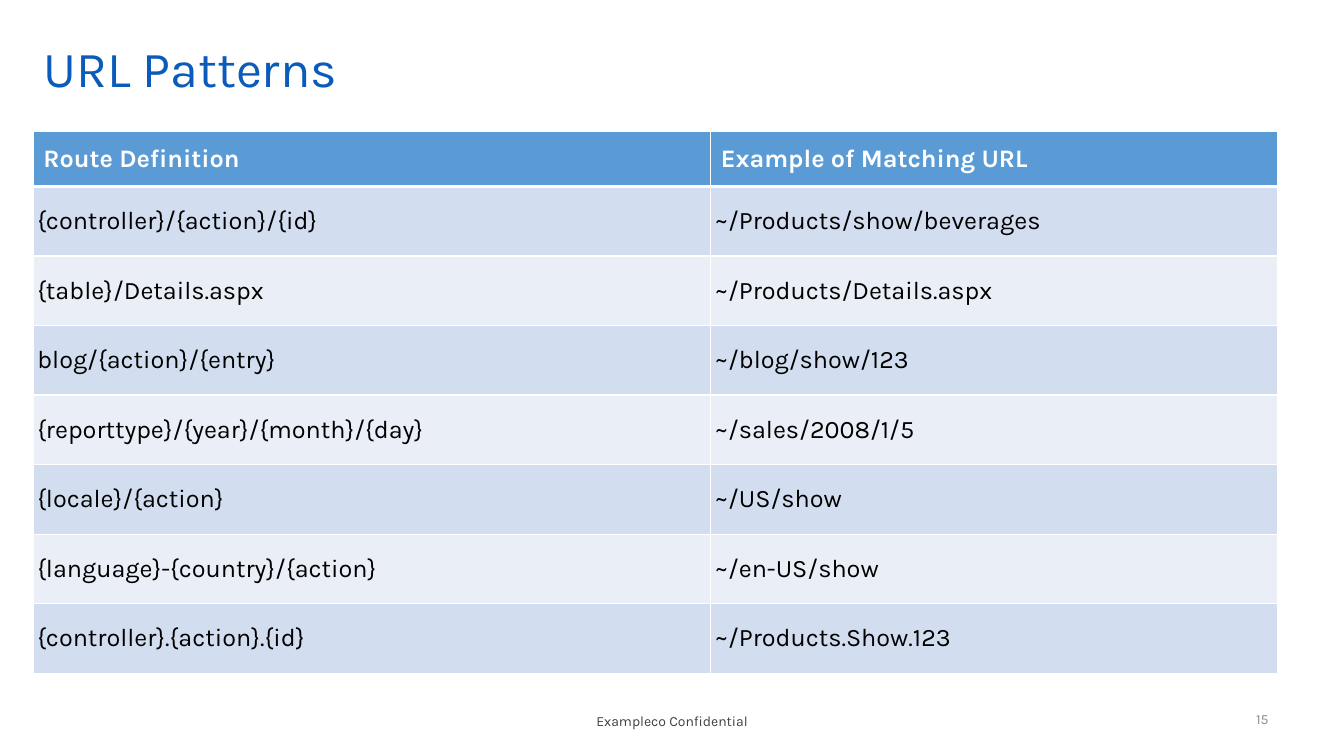
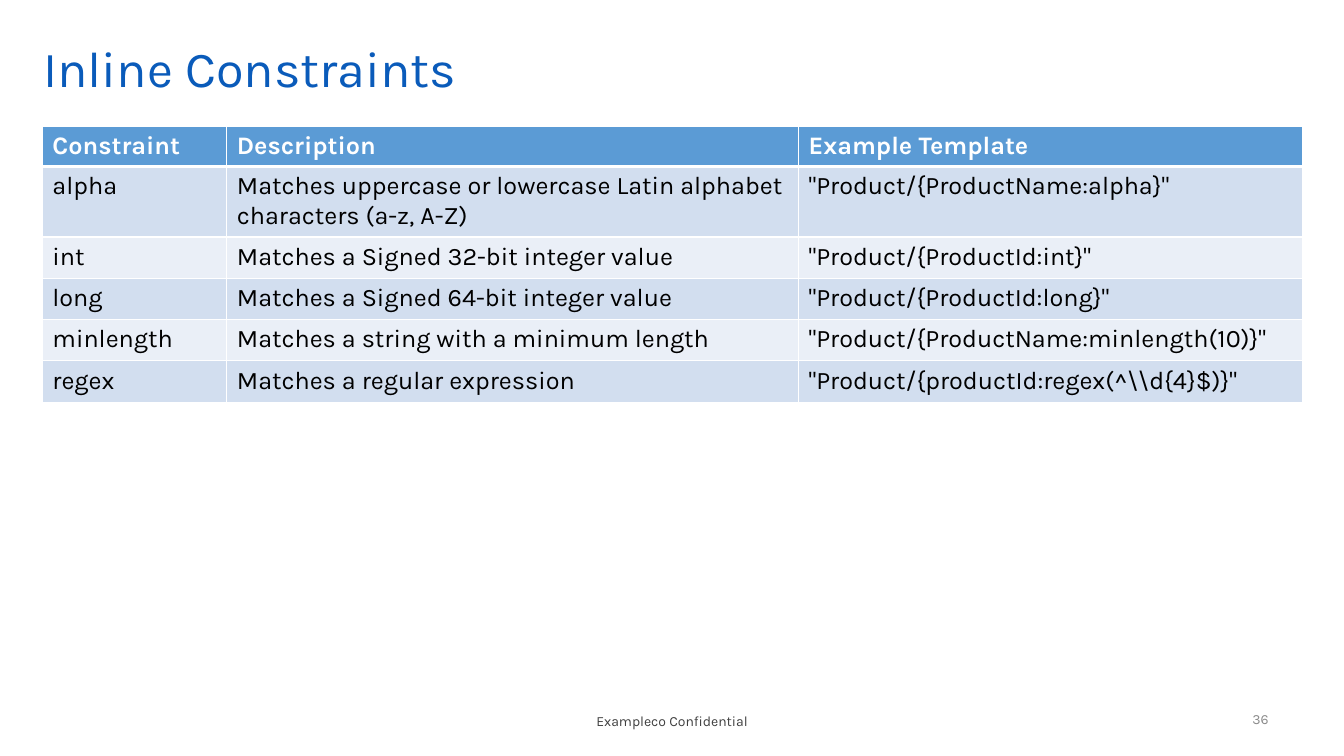
from dataclasses import dataclass

from lxml import etree
from pptx import Presentation
from pptx.dml.color import RGBColor
from pptx.enum import text
from pptx.oxml import ns
from pptx.util import Inches, Pt


# Colours, font and type sizes
@dataclass(frozen=True)
class Theme:
    font: str = "Karla"
    title: str = "0A5BBA"
    footer: str = "3F3F3F"
    number: str = "8C8C8C"
    header: str = "5B9BD5"
    bands: tuple = ("D2DEEF", "EAEFF7")
    white: str = "FFFFFF"
    body: str = "000000"
    title_size: int = 36
    table_size: int = 18
    small_size: int = 10
    rule: int = 1
    header_rule: int = 3


class Deck:
    def __init__(self, theme):
        self.theme = theme
        self.prs = Presentation()
        self.prs.slide_width, self.prs.slide_height = Inches(13.33), Inches(7.5)
        self.s = None

    def format_text(self, tf, size, color, align=text.PP_ALIGN.LEFT, bold=False):
        for p in tf.paragraphs:
            p.alignment = align
            for r in p.runs:
                r.font.name, r.font.size, r.font.bold = self.theme.font, Pt(size), bold
                r.font.color.rgb = RGBColor.from_string(color)

    def add_slide(self, title, number):
        self.s = self.prs.slides.add_slide(self.prs.slide_layouts[5])
        self.add_small_text("Exampleco Confidential", (5.11, 6.95, 3.11, 0.4),
                            self.theme.footer, text.PP_ALIGN.CENTER, 0.2)
        self.add_title(title)
        self.add_small_text(str(number), (9.68, 6.93, 3, 0.4),
                            self.theme.number, text.PP_ALIGN.RIGHT)

    def add_title(self, title):
        sp = self.s.shapes.title
        sp.left, sp.top, sp.width, sp.height = map(Inches, (0.33, 0.33, 12.33, 0.75))
        tf = sp.text_frame
        tf.text = title
        tf.auto_size = text.MSO_AUTO_SIZE.NONE
        tf.vertical_anchor = text.MSO_ANCHOR.MIDDLE
        tf.paragraphs[0].line_spacing = 0.9
        self.format_text(tf, self.theme.title_size, self.theme.title)

    def add_small_text(self, words, box, color, align, margin=0.1):
        tf = self.s.shapes.add_textbox(*map(Inches, box)).text_frame
        tf.text = words
        tf.word_wrap = True
        tf.vertical_anchor = text.MSO_ANCHOR.MIDDLE
        tf.margin_left = tf.margin_right = Inches(margin)
        self.format_text(tf, self.theme.small_size, color, align)

    def add_table(self, left, top, widths, heights, rows, anchor, body_margins):
        table = self.s.shapes.add_table(
            len(rows), len(widths), Inches(left), Inches(top),
            Inches(sum(widths)), Inches(sum(heights))).table
        for column, width in zip(table.columns, widths):
            column.width = Inches(width)
        for i, (row, height) in enumerate(zip(rows, heights)):
            table.rows[i].height = Inches(height)
            for j, words in enumerate(row):
                cell = table.cell(i, j)
                cell.text = words
                cell.vertical_anchor = anchor
                self.style_cell(cell, i, body_margins)

    def style_cell(self, cell, row, body_margins):
        t = self.theme
        is_header = row == 0
        self.add_borders(cell, top=t.header_rule if row == 1 else t.rule,
                         bottom=t.header_rule if is_header else t.rule)
        cell.fill.solid()
        cell.fill.fore_color.rgb = RGBColor.from_string(
            t.header if is_header else t.bands[(row - 1) % 2])
        side, edge = (0.1, 0.05) if is_header else body_margins
        cell.margin_left = cell.margin_right = Inches(side)
        cell.margin_top = cell.margin_bottom = Inches(edge)
        self.format_text(cell.text_frame, t.table_size,
                         t.white if is_header else t.body, bold=is_header)

    def add_borders(self, cell, top, bottom):
        # Borders come before the fill in the cell properties
        tc_pr = cell._tc.get_or_add_tcPr()
        rule = self.theme.rule
        for tag, width in (("lnL", rule), ("lnR", rule), ("lnT", top), ("lnB", bottom)):
            line = etree.SubElement(tc_pr, ns.qn("a:" + tag), w=str(Pt(width)))
            fill = etree.SubElement(line, ns.qn("a:solidFill"))
            etree.SubElement(fill, ns.qn("a:srgbClr"), val=self.theme.white)


ROUTES = [
    ("Route Definition", "Example of Matching URL"),
    ("{controller}/{action}/{id}", "~/Products/show/beverages"),
    ("{table}/Details.aspx", "~/Products/Details.aspx"),
    ("blog/{action}/{entry}", "~/blog/show/123"),
    ("{reporttype}/{year}/{month}/{day}", "~/sales/2008/1/5"),
    ("{locale}/{action}", "~/US/show"),
    ("{language}-{country}/{action}", "~/en-US/show"),
    ("{controller}.{action}.{id}", "~/Products.Show.123"),
]

CONSTRAINTS = [
    ("Constraint", "Description", "Example Template"),
    ("alpha", "Matches uppercase or lowercase Latin alphabet characters (a-z, A-Z)",
     '"Product/{ProductName:alpha}"'),
    ("int", "Matches a Signed 32-bit integer value", '"Product/{ProductId:int}"'),
    ("long", "Matches a Signed 64-bit integer value", '"Product/{ProductId:long}"'),
    ("minlength", "Matches a string with a minimum length",
     '"Product/{ProductName:minlength(10)}"'),
    ("regex", "Matches a regular expression",
     r'"Product/{productId:regex(^\\d{4}$)}"'),
]


def main():
    deck = Deck(Theme())

    # URL patterns
    deck.add_slide("URL Patterns", 15)
    deck.add_table(0.33, 1.3, (6.72, 5.62), [0.55] + [0.69] * 7, ROUTES,
                   text.MSO_ANCHOR.MIDDLE, (0.04, 0.09))

    # Inline constraints
    deck.add_slide("Inline Constraints", 36)
    deck.add_table(0.42, 1.25, (1.83, 5.67, 5), [0.4, 0.69] + [0.41] * 4, CONSTRAINTS,
                   text.MSO_ANCHOR.TOP, (0.1, 0.05))

    deck.prs.save("out.pptx")


if __name__ == "__main__":
    main()
